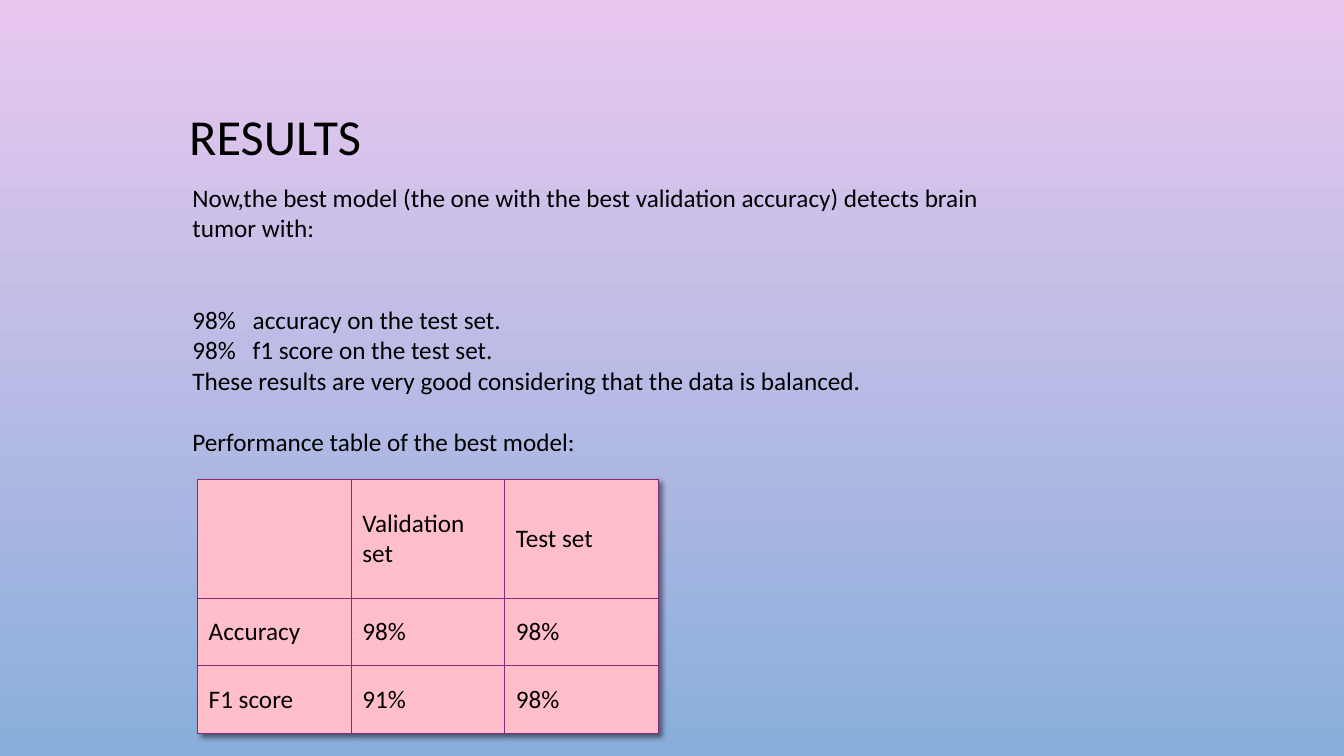
from lxml.etree import SubElement
from pptx import Presentation
from pptx.dml.color import RGBColor
from pptx.enum.text import MSO_ANCHOR, PP_ALIGN
from pptx.oxml.ns import qn
from pptx.util import Cm, Pt

COLORS = {
    "sky_top": "E9C8EF",
    "sky_bottom": "89AEDB",
    "cell": "FFBECA",
    "border": "8A297B",
    "text": "000000",
    "shadow": "000000",
}
FONT = "Calibri"
BODY_SIZE = 18
LINE_HEIGHT = 22
TAB_STOP = Cm(1.52)

BODY_LINES = [
    ("Now,the best model (the one with the best validation accuracy) detects brain tumor with:", 0),
    ("98%\taccuracy on the test set.", 2),
    ("98%\tf1 score on the test set.", 0),
    ("These results are very good considering that the data is balanced.", 0),
    ("Performance table of the best model:", 1),
]
SCORES = [
    ["", "Validation set", "Test set"],
    ["Accuracy", "98%", "98%"],
    ["F1 score", "91%", "98%"],
]
ROW_HEIGHTS = [3.0, 1.7, 1.7]
COLUMN_WIDTH = 3.87


def color(name):
    return RGBColor.from_string(COLORS[name])


def style_paragraph(paragraph, size):
    paragraph.font.name = FONT
    paragraph.font.size = Pt(size)
    paragraph.font.color.rgb = color("text")


def paint_background(slide):
    fill = slide.background.fill
    fill.gradient()
    fill.gradient_angle = 270
    for stop, position, name in zip(fill.gradient_stops, (0, 1), ("sky_top", "sky_bottom")):
        stop.position = position
        stop.color.rgb = color(name)


def add_text_frame(slide, left, top, width, height):
    frame = slide.shapes.add_textbox(Cm(left), Cm(top), Cm(width), Cm(height)).text_frame
    frame.word_wrap = True
    return frame


def add_title(slide, text):
    frame = add_text_frame(slide, 4.32, 1.85, 5.23, 3.33)
    frame.vertical_anchor = MSO_ANCHOR.MIDDLE
    paragraph = frame.paragraphs[0]
    paragraph.text = text
    paragraph.alignment = PP_ALIGN.CENTER
    paragraph.line_spacing = 0.9
    style_paragraph(paragraph, 36)


def add_tab_stop(paragraph):
    tabs = SubElement(paragraph._p.get_or_add_pPr(), qn("a:tabLst"))
    SubElement(tabs, qn("a:tab"), pos=str(TAB_STOP), algn="l")


def add_body(slide, lines):
    frame = add_text_frame(slide, 4.6, 4.47, 21.62, 8.94)
    for index, (text, lines_before) in enumerate(lines):
        paragraph = frame.add_paragraph() if index else frame.paragraphs[0]
        paragraph.text = text
        if "\t" in text:
            add_tab_stop(paragraph)
        if lines_before:
            paragraph.space_before = Pt(lines_before * LINE_HEIGHT)
        style_paragraph(paragraph, BODY_SIZE)


def add_solid_color(parent, name):
    fill = SubElement(parent, qn("a:solidFill"))
    return SubElement(fill, qn("a:srgbClr"), val=COLORS[name])


def style_cell(cell, text):
    cell.text = text
    cell.vertical_anchor = MSO_ANCHOR.MIDDLE
    cell.margin_left = cell.margin_right = Cm(0.28)
    style_paragraph(cell.text_frame.paragraphs[0], BODY_SIZE)
    properties = cell._tc.get_or_add_tcPr()
    for side in ("lnL", "lnR", "lnT", "lnB"):
        line = SubElement(properties, qn(f"a:{side}"), w=str(Pt(0.75)))
        add_solid_color(line, "border")
    cell.fill.solid()
    cell.fill.fore_color.rgb = color("cell")


def add_table_shadow(table):
    effects = table._tbl.tblPr.makeelement(qn("a:effectLst"))
    table._tbl.tblPr.insert(0, effects)
    shadow = SubElement(effects, qn("a:outerShdw"), blurRad=str(Pt(4)),
                        dist=str(Pt(3)), dir="2700000", algn="tl", rotWithShape="0")
    shadow_color = SubElement(shadow, qn("a:srgbClr"), val=COLORS["shadow"])
    SubElement(shadow_color, qn("a:alpha"), val="50000")


def add_score_table(slide, scores):
    table = slide.shapes.add_table(
        len(scores), len(scores[0]), Cm(4.98), Cm(12.08),
        Cm(COLUMN_WIDTH * len(scores[0])), Cm(sum(ROW_HEIGHTS)),
    ).table
    table.first_row = False
    table.horz_banding = False
    add_table_shadow(table)
    for column in table.columns:
        column.width = Cm(COLUMN_WIDTH)
    for row, height, texts in zip(table.rows, ROW_HEIGHTS, scores):
        row.height = Cm(height)
        for cell, text in zip(row.cells, texts):
            style_cell(cell, text)


def main():
    presentation = Presentation()
    presentation.slide_width = Cm(33.87)
    presentation.slide_height = Cm(19.05)
    slide = presentation.slides.add_slide(presentation.slide_layouts[6])
    paint_background(slide)
    add_title(slide, "RESULTS")
    add_score_table(slide, SCORES)
    add_body(slide, BODY_LINES)
    presentation.save("out.pptx")


if __name__ == "__main__":
    main()
